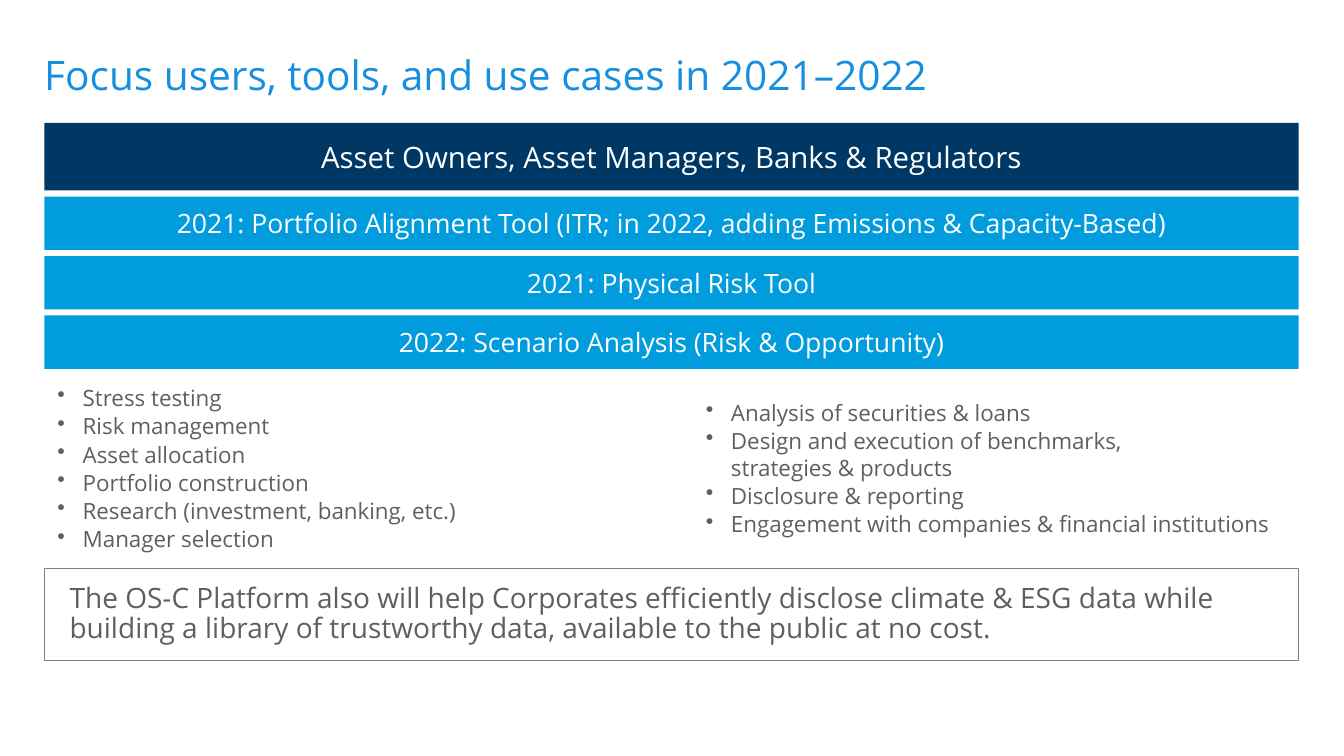
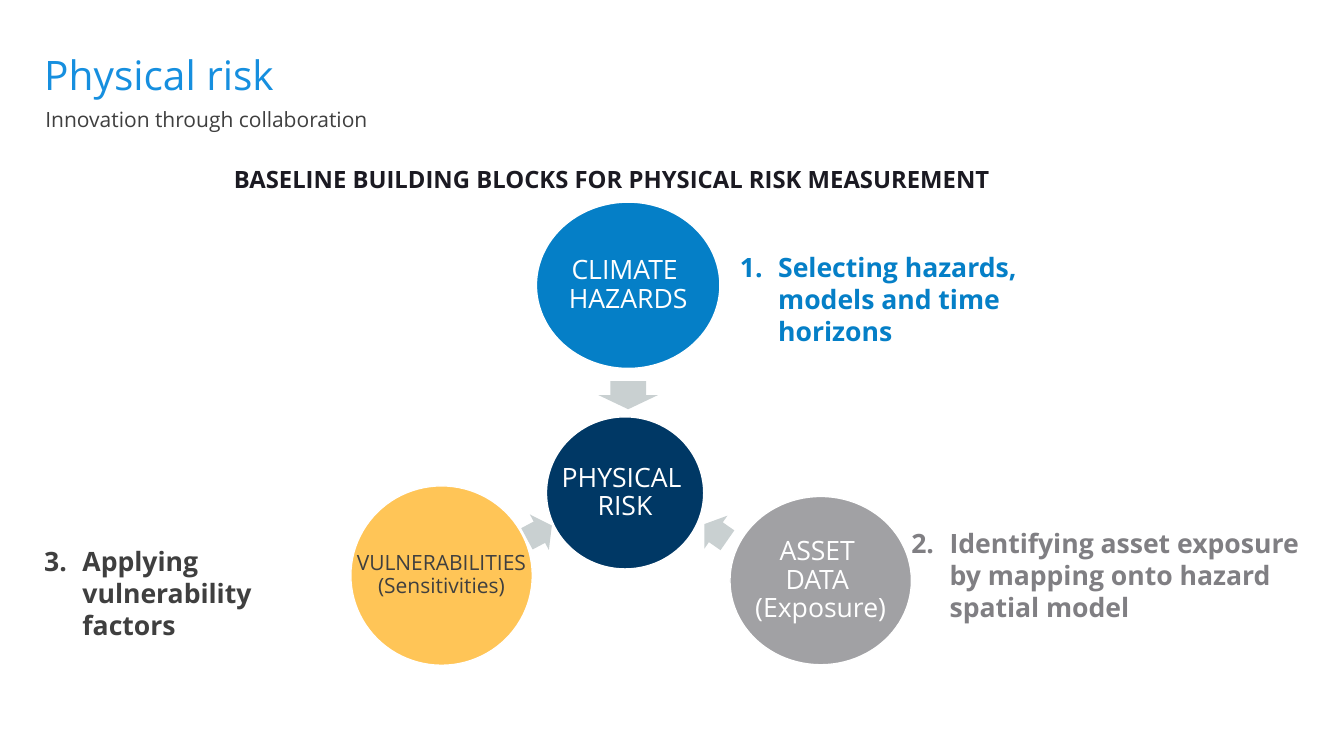
from lxml import etree
from pptx import Presentation
from pptx.dml.color import RGBColor
from pptx.enum.shapes import MSO_SHAPE as SHAPE
from pptx.enum.text import MSO_ANCHOR as ANCHOR, PP_ALIGN as ALIGN
from pptx.oxml.ns import qn
from pptx.util import Inches, Pt

FONT = "Open Sans"
NAVY, SKY, BLUE, TITLE = "003865", "009CDE", "057FC7", "168FDF"
AMBER, SILVER, ARROW = "FFC557", "A1A1A4", "C9D0D1"
BODY, DARK, MUTED, INK, FRAME = "5E5F62", "3F3F3F", "807F83", "1B1A22", "7F7F7F"
WHITE = "FFFFFF"

MARGIN, CONTENT_W = 0.44, 12.44
TEXT_LEFT = 0.34
BAND_TOP, BAND_GAP = 1.22, 0.06
HEAD_H, BAND_H = 0.67, 0.53
LIST_TOP, LIST_W, LIST_H = 3.66, 6.01, 1.97

TOOLS = [
    "2021: Portfolio Alignment Tool (ITR; in 2022, adding Emissions & Capacity-Based)",
    "2021: Physical Risk Tool",
    "2022: Scenario Analysis (Risk & Opportunity)",
]
USE_CASES = [
    ["Stress testing", "Risk management", "Asset allocation",
     "Portfolio construction", "Research (investment, banking, etc.)",
     "Manager selection"],
    ["Analysis of securities & loans",
     "Design and execution of benchmarks,\vstrategies & products",
     "Disclosure & reporting",
     "Engagement with companies & financial institutions"],
]
# text, centre x, centre y, width, height, fill, text colour, size
CIRCLES = [
    ("PHYSICAL \nRISK", 6.2, 4.89, 1.56, 1.51, NAVY, WHITE, 19),
    ("CLIMATE \nHAZARDS", 6.23, 2.83, 1.82, 1.65, BLUE, WHITE, 19),
    ("ASSET \nDATA \n(Exposure)", 8.14, 5.76, 1.8, 1.67, SILVER, WHITE, 19),
    ("VULNERABILITIES\n(Sensitivities)", 4.38, 5.71, 1.8, 1.78, AMBER, DARK, 15),
]
# centre x, centre y, breadth, rotation
ARROWS = [(6.23, 3.92, 0.59, 90), (7.1, 5.28, 0.4, 214.9), (5.35, 5.28, 0.4, 331.9)]
# number, text, box, colour
STEPS = [
    (1, "Selecting hazards, models and time horizons", (7.24, 2.44, 3.92, 0.72), BLUE),
    (2, "Identifying asset exposure by mapping onto hazard spatial model",
     (8.94, 5.18, 4.13, 1.02), MUTED),
    (3, "Applying vulnerability factors", (TEXT_LEFT, 5.36, 3.14, 0.78), DARK),
]


def rgb(color):
    return RGBColor.from_string(color)


def write(s, text, size, color, bold=False, align=ALIGN.LEFT, anchor=ANCHOR.MIDDLE,
          insets=(0.13, 0.07), spacing=None, wrap=True):
    """Fill a shape with text; insets are (sides, top and bottom)."""
    tf = s.text_frame
    tf.text = text
    tf.word_wrap = wrap
    tf.vertical_anchor = anchor
    tf.margin_left = tf.margin_right = Inches(insets[0])
    tf.margin_top = tf.margin_bottom = Inches(insets[1])
    for p in tf.paragraphs:
        p.alignment = align
        p.line_spacing = spacing
        for r in p.runs:
            r.font.name, r.font.size, r.font.bold = FONT, Pt(size), bold
            r.font.color.rgb = rgb(color)
        for br in p._p.findall(qn("a:br")):
            etree.SubElement(br, qn("a:rPr")).set("sz", str(size * 100))
    return tf


def add_text(slide, box, text, size, color, **style):
    s = slide.shapes.add_textbox(*map(Inches, box))
    return write(s, text, size, color, **style)


def add_block(slide, kind, box, fill, line=None):
    s = slide.shapes.add_shape(kind, *map(Inches, box))
    s.shadow.inherit = False
    s.fill.solid()
    s.fill.fore_color.rgb = rgb(fill)
    if line:
        s.line.color.rgb = rgb(line)
        s.line.width = Pt(1)
    else:
        s.line.fill.background()
    return s


def set_marker(p, color, indent, tag, **attrs):
    """Give a paragraph a hanging bullet or number."""
    pPr = p._p.get_or_add_pPr()
    pPr.set("marL", str(Inches(indent)))
    pPr.set("indent", str(-Inches(indent)))
    clr = etree.SubElement(pPr, qn("a:buClr"))
    etree.SubElement(clr, qn("a:srgbClr")).set("val", color)
    marker = etree.SubElement(pPr, qn(tag))
    for name, value in attrs.items():
        marker.set(name, value)


def add_bullets(slide, box, items):
    tf = add_text(slide, box, "\n".join(items), 16, BODY)
    for i, p in enumerate(tf.paragraphs):
        if i:
            p.space_before = Pt(1)
        set_marker(p, BODY, 0.25, "a:buChar", char="•")


def add_step(slide, number, text, box, color):
    tf = add_text(slide, box, text, 19, color, bold=True, anchor=ANCHOR.TOP,
                  insets=(0.1, 0.05))
    set_marker(tf.paragraphs[0], color, 0.38, "a:buAutoNum",
               type="arabicPeriod", startAt=str(number))


def add_band(slide, top, height, text, size, fill):
    s = add_block(slide, SHAPE.RECTANGLE, (MARGIN, top, CONTENT_W, height), fill)
    write(s, text, size, WHITE, align=ALIGN.CENTER)


def add_circle(slide, text, x, y, w, h, fill, color, size):
    s = add_block(slide, SHAPE.OVAL, (x - w / 2, y - h / 2, w, h), fill, WHITE)
    write(s, text, size, color, align=ALIGN.CENTER, insets=(0, 0), spacing=0.9,
          wrap=False)


def add_arrow(slide, x, y, breadth, rotation):
    length = 0.28
    s = add_block(slide, SHAPE.RIGHT_ARROW,
                  (x - length / 2, y - breadth / 2, length, breadth), ARROW)
    s.adjustments[0], s.adjustments[1] = 0.6, 0.5
    s.rotation = rotation


def new_slide(prs, title):
    slide = prs.slides.add_slide(prs.slide_layouts[6])
    add_text(slide, (TEXT_LEFT, 0.26, 12.72, 1.02), title, 29, TITLE,
             insets=(0.1, 0.1), spacing=0.9)
    return slide


def build_focus(prs):
    slide = new_slide(prs, "Focus users, tools, and use cases in 2021–2022")
    s = add_block(slide, SHAPE.RECTANGLE, (MARGIN, 5.64, CONTENT_W, 0.91), WHITE, FRAME)
    tf = write(s, "The OS-C Platform also will help Corporates efficiently disclose "
               "climate & ESG data while building a library of trustworthy data, "
               "available to the public at no cost.",
               20, BODY, insets=(0, 0.07), spacing=0.9)
    tf.margin_left = Inches(0.25)

    add_band(slide, BAND_TOP, HEAD_H,
             "Asset Owners, Asset Managers, Banks & Regulators", 21, NAVY)
    tools_top = BAND_TOP + HEAD_H + BAND_GAP
    for i, tool in enumerate(TOOLS):
        add_band(slide, tools_top + i * (BAND_H + BAND_GAP), BAND_H, tool, 19, SKY)
    for i, items in enumerate(USE_CASES):
        left = MARGIN + i * (CONTENT_W - LIST_W)
        add_bullets(slide, (left, LIST_TOP, LIST_W, LIST_H), items)


def build_physical_risk(prs):
    slide = new_slide(prs, "Physical risk")
    add_text(slide, (TEXT_LEFT, 0.95, 3.59, 0.46), "Innovation through collaboration",
             15, DARK, anchor=ANCHOR.TOP, insets=(0.11, 0.11))
    add_text(slide, (1.75, 1.58, 8.64, 0.4),
             "BASELINE BUILDING BLOCKS FOR PHYSICAL RISK MEASUREMENT",
             17, INK, bold=True, align=ALIGN.CENTER, insets=(0.12, 0.12))
    for circle in CIRCLES:
        add_circle(slide, *circle)
    for arrow in ARROWS:
        add_arrow(slide, *arrow)
    for step in STEPS:
        add_step(slide, *step)


def main():
    prs = Presentation()
    prs.slide_width, prs.slide_height = Inches(13.33), Inches(7.5)
    build_focus(prs)
    build_physical_risk(prs)
    prs.save("out.pptx")


if __name__ == "__main__":
    main()
